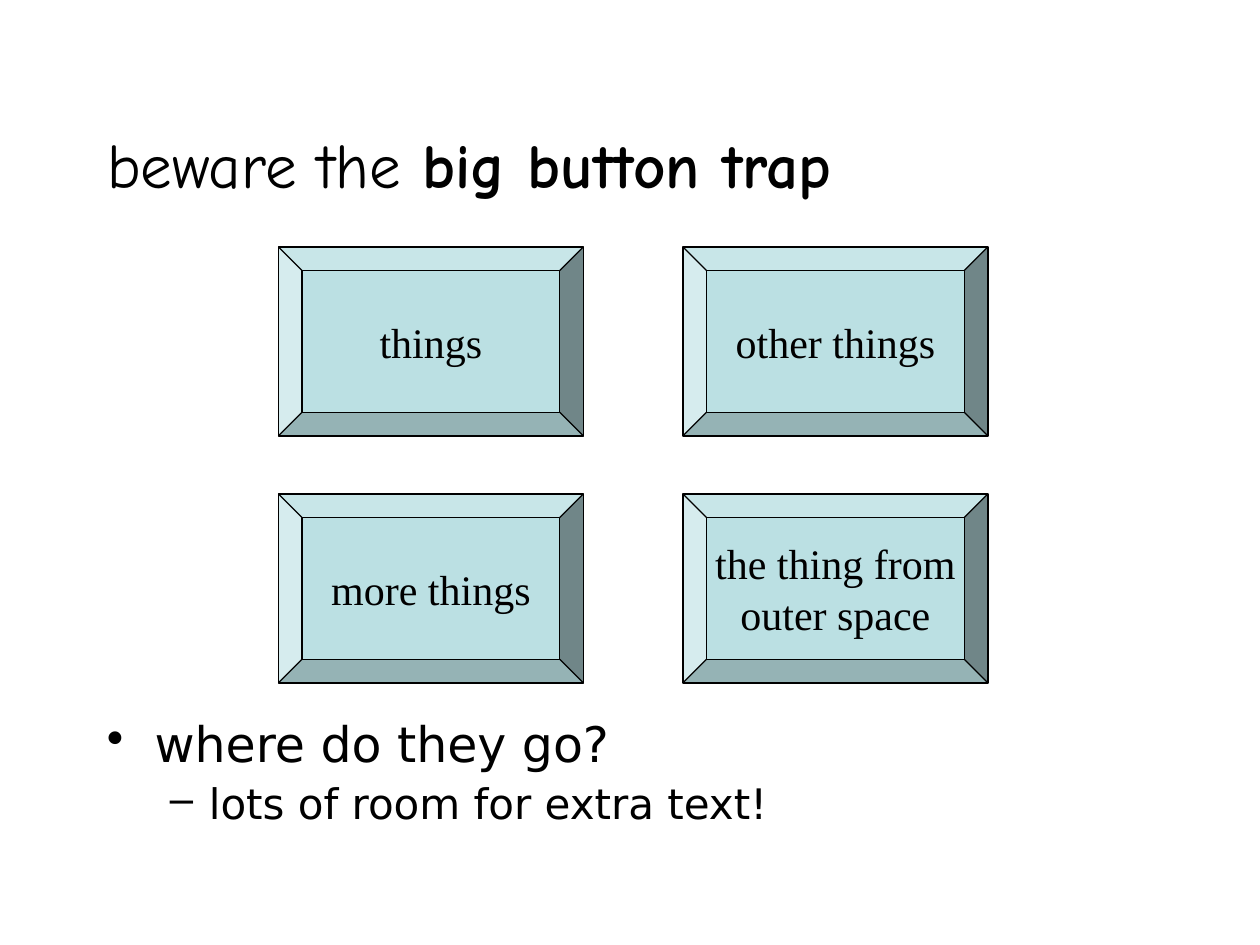
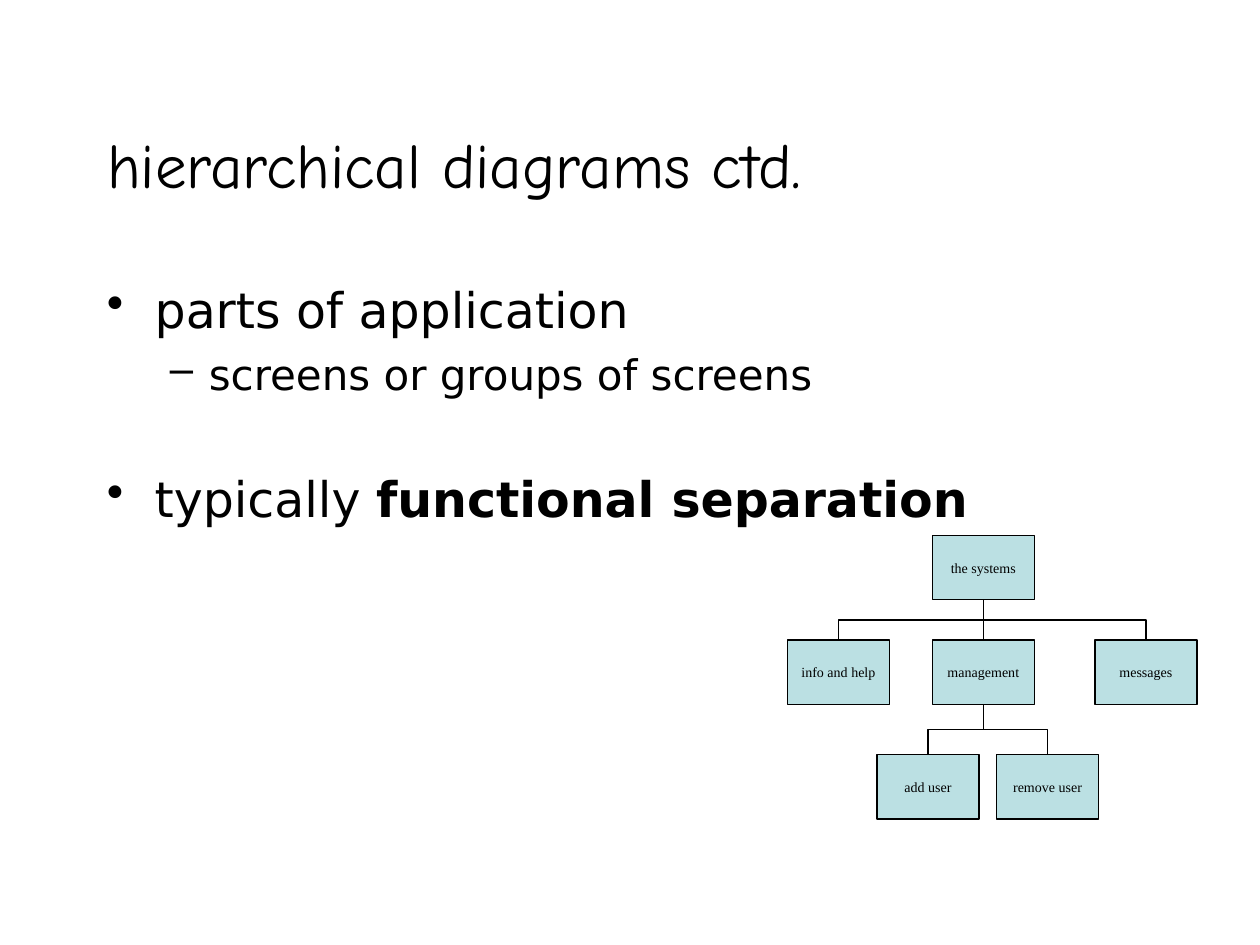
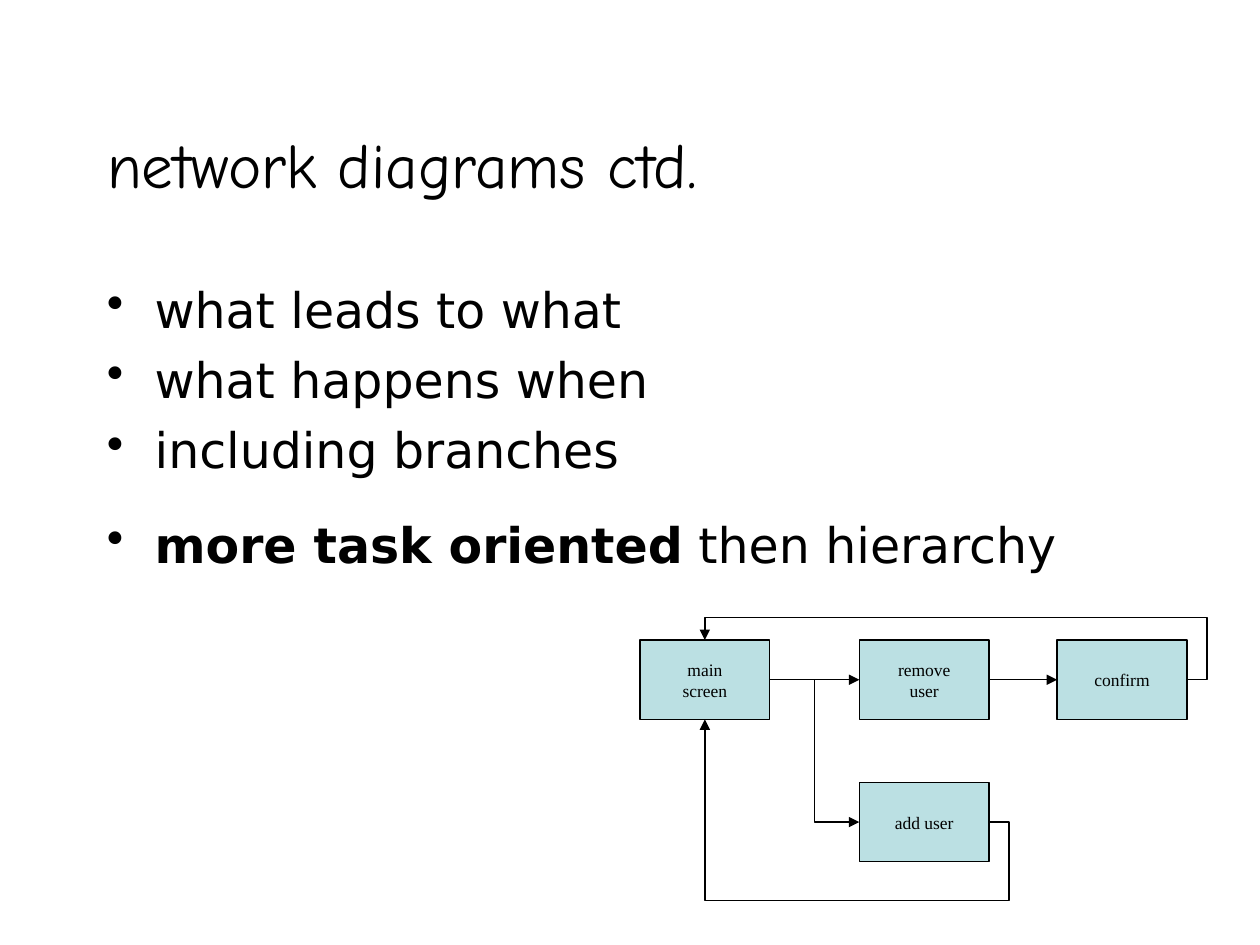
from lxml.etree import SubElement
from pptx import Presentation
from pptx.dml.color import RGBColor
from pptx.enum.shapes import MSO_CONNECTOR, MSO_SHAPE
from pptx.enum.text import MSO_ANCHOR, MSO_AUTO_SIZE, PP_ALIGN
from pptx.oxml.ns import qn
from pptx.util import Inches, Pt

COLORS = {"ink": "000000", "fill": "BBE0E3", "paper": "FFFFFF"}
TITLE_FONT, BODY_FONT, SHAPE_FONT = "Comic Neue", "DejaVu Sans", "Times New Roman"
TITLE_ONLY = 5
TOP, LEFT, BOTTOM, RIGHT = range(4)

# Bullet levels: mark, text indent, hanging indent, size, usual space before
LEVELS = [("•", 0.38, -0.38, 28, 6.5), ("–", 0.81, -0.31, 24, 5.6)]


def color(name):
    return RGBColor.from_string(COLORS[name])


def side_point(box, side):
    """Middle of one side of a box."""
    across = {LEFT: 0, RIGHT: 2}.get(side, 1)
    down = {TOP: 0, BOTTOM: 2}.get(side, 1)
    return box.left + box.width * across // 2, box.top + box.height * down // 2


class SlideBuilder:
    def __init__(self):
        self.deck = Presentation()
        self.deck.slide_width, self.deck.slide_height = Inches(10), Inches(7.5)
        self.page = None

    def style_runs(self, para, font, size):
        for span in para.runs:
            span.font.name = font
            span.font.size = Pt(size)
            span.font.color.rgb = color("ink")

    def add_text(self, para, text, font, size):
        """Fill a paragraph; parts between ** marks are bold."""
        for index, part in enumerate(text.split("**")):
            if part:
                span = para.add_run()
                span.text = part
                span.font.bold = index % 2 == 1
        self.style_runs(para, font, size)

    def add_page(self, title):
        self.page = self.deck.slides.add_slide(self.deck.slide_layouts[TITLE_ONLY])
        self.page.background.fill.solid()
        self.page.background.fill.fore_color.rgb = color("paper")
        box = self.page.shapes.title
        box.left, box.top = Inches(0.75), Inches(0.67)
        box.width, box.height = Inches(7.5), Inches(1.25)
        frame = box.text_frame
        frame.auto_size = MSO_AUTO_SIZE.NONE
        frame.vertical_anchor = MSO_ANCHOR.MIDDLE
        para = frame.paragraphs[0]
        para.alignment = PP_ALIGN.LEFT
        self.add_text(para, title, TITLE_FONT, 36)

    def add_bullets(self, items, top=2.17, height=4.5, line_spacing=1.0):
        """Each item is (level, text) or (level, text, space before)."""
        box = self.page.shapes.add_textbox(Inches(0.75), Inches(top),
                                           Inches(8.5), Inches(height))
        frame = box.text_frame
        frame.word_wrap = True
        for index, (level, text, *gap) in enumerate(items):
            mark, indent, hanging, size, usual_gap = LEVELS[level]
            para = frame.add_paragraph() if index else frame.paragraphs[0]
            para.level = level
            para.line_spacing = line_spacing
            if index:
                para.space_before = Pt(gap[0] if gap else usual_gap)
            properties = para._p.get_or_add_pPr()
            properties.set("marL", str(Inches(indent)))
            properties.set("indent", str(Inches(hanging)))
            SubElement(properties, qn("a:buChar")).set("char", mark)
            self.add_text(para, text, BODY_FONT, size)

    def add_box(self, text, left, top, width, height, size,
                kind=MSO_SHAPE.FLOWCHART_PROCESS):
        box = self.page.shapes.add_shape(kind, Inches(left), Inches(top),
                                         Inches(width), Inches(height))
        box.shadow.inherit = False
        box.fill.solid()
        box.fill.fore_color.rgb = color("fill")
        box.line.color.rgb = color("ink")
        box.line.width = Pt(0.75)
        frame = box.text_frame
        frame.text = text
        frame.word_wrap = False
        frame.vertical_anchor = MSO_ANCHOR.MIDDLE
        for para in frame.paragraphs:
            para.alignment = PP_ALIGN.CENTER
            self.style_runs(para, SHAPE_FONT, size)
        return box

    def add_line(self, kind, start, end, arrow):
        line = self.page.shapes.add_connector(kind, *start, *end)
        line.line.color.rgb = color("ink")
        line.line.width = Pt(0.75)
        if arrow:
            outline = line._element.spPr.find(qn("a:ln"))
            SubElement(outline, qn("a:tailEnd")).set("type", "triangle")
        SubElement(line._element.spPr, qn("a:effectLst"))
        return line

    def add_straight(self, source, source_side, target, target_side, arrow=False):
        line = self.add_line(MSO_CONNECTOR.STRAIGHT, side_point(source, source_side),
                             side_point(target, target_side), arrow)
        line.begin_connect(source, source_side)
        line.end_connect(target, target_side)

    def add_branch(self, parent, child):
        """Elbow that leaves downwards: a sideways elbow given a quarter turn."""
        (x1, y1), (x2, y2) = side_point(parent, BOTTOM), side_point(child, TOP)
        middle_x, middle_y = (x1 + x2) // 2, (y1 + y2) // 2
        sign = 1 if x2 < x1 else -1
        half_length, half_width = sign * (y2 - y1) // 2, abs(x2 - x1) // 2
        line = self.add_line(MSO_CONNECTOR.ELBOW,
                             (middle_x - half_length, middle_y - half_width),
                             (middle_x + half_length, middle_y + half_width), False)
        turn = 90 if sign == 1 else 270
        line._element.spPr.find(qn("a:xfrm")).set("rot", str(turn * 60000))

    def add_return(self, source, target, target_side, bend_x, bend_y):
        """Arrow from the right of a box, around by (bend_x, bend_y), to the target."""
        start, end = side_point(source, RIGHT), side_point(target, target_side)
        line = self.add_line(MSO_CONNECTOR.ELBOW, start, end, True)
        geometry = line._element.spPr.find(qn("a:prstGeom"))
        geometry.set("prst", "bentConnector4")
        guides = geometry.find(qn("a:avLst"))
        bends = Inches(bend_x), Inches(bend_y)
        for number, (bend, begin, finish) in enumerate(zip(bends, start, end), 1):
            guide = SubElement(guides, qn("a:gd"))
            guide.set("name", f"adj{number}")
            guide.set("fmla", f"val {round((bend - begin) / (finish - begin) * 100000)}")


def build_buttons(builder):
    builder.add_page("beware the **big button trap**")
    builder.add_bullets([(0, "where do they go?"), (1, "lots of room for extra text!")],
                        top=5.67, height=1, line_spacing=0.9)
    labels = ["things", "other things", "more things", "the thing from\nouter space"]
    for index, label in enumerate(labels):
        row, column = divmod(index, 2)
        builder.add_box(label, 2.21 + 3.21 * column, 1.96 + 1.96 * row,
                        2.42, 1.5, 24, MSO_SHAPE.BEVEL)


def build_hierarchy(builder):
    builder.add_page("hierarchical diagrams ctd.")
    builder.add_bullets([(0, "parts of application"),
                         (1, "screens or groups of screens"),
                         (0, "typically **functional separation**", 40)])
    places = {
        "the systems": (7.4, 4.25),
        "info and help": (6.25, 5.08),
        "management": (7.4, 5.08),
        "messages": (8.69, 5.08),
        "add user": (6.96, 5.99),
        "remove user": (7.91, 5.99),
    }
    boxes = {name: builder.add_box(name, *place, 0.81, 0.51, 8)
             for name, place in places.items()}
    for parent, child in [("the systems", "info and help"), ("the systems", "messages"),
                          ("management", "add user"), ("management", "remove user")]:
        builder.add_branch(boxes[parent], boxes[child])
    builder.add_straight(boxes["the systems"], BOTTOM, boxes["management"], TOP)


def build_network(builder):
    builder.add_page("network diagrams ctd.")
    builder.add_bullets([(0, "what leads to what"), (0, "what happens when"),
                         (0, "including branches"),
                         (0, "**more task oriented** then hierarchy", 20.5)])
    places = [("main\nscreen", 5.08, 5.08), ("remove\nuser", 6.82, 5.08),
              ("confirm", 8.39, 5.08), ("add user", 6.82, 6.21)]
    main_screen, remove_user, confirm, add_user = [
        builder.add_box(*place, 1.03, 0.63, 10) for place in places]
    # Forward steps
    builder.add_straight(main_screen, RIGHT, remove_user, LEFT, arrow=True)
    builder.add_straight(remove_user, RIGHT, confirm, LEFT, arrow=True)
    builder.add_line(MSO_CONNECTOR.ELBOW, side_point(main_screen, RIGHT),
                     side_point(add_user, LEFT), True)
    # Ways back to the main screen
    builder.add_return(confirm, main_screen, TOP, 9.58, 4.9)
    builder.add_return(add_user, main_screen, BOTTOM, 8.01, 7.15)


def main():
    builder = SlideBuilder()
    build_buttons(builder)
    build_hierarchy(builder)
    build_network(builder)
    builder.deck.save("out.pptx")


if __name__ == "__main__":
    main()
